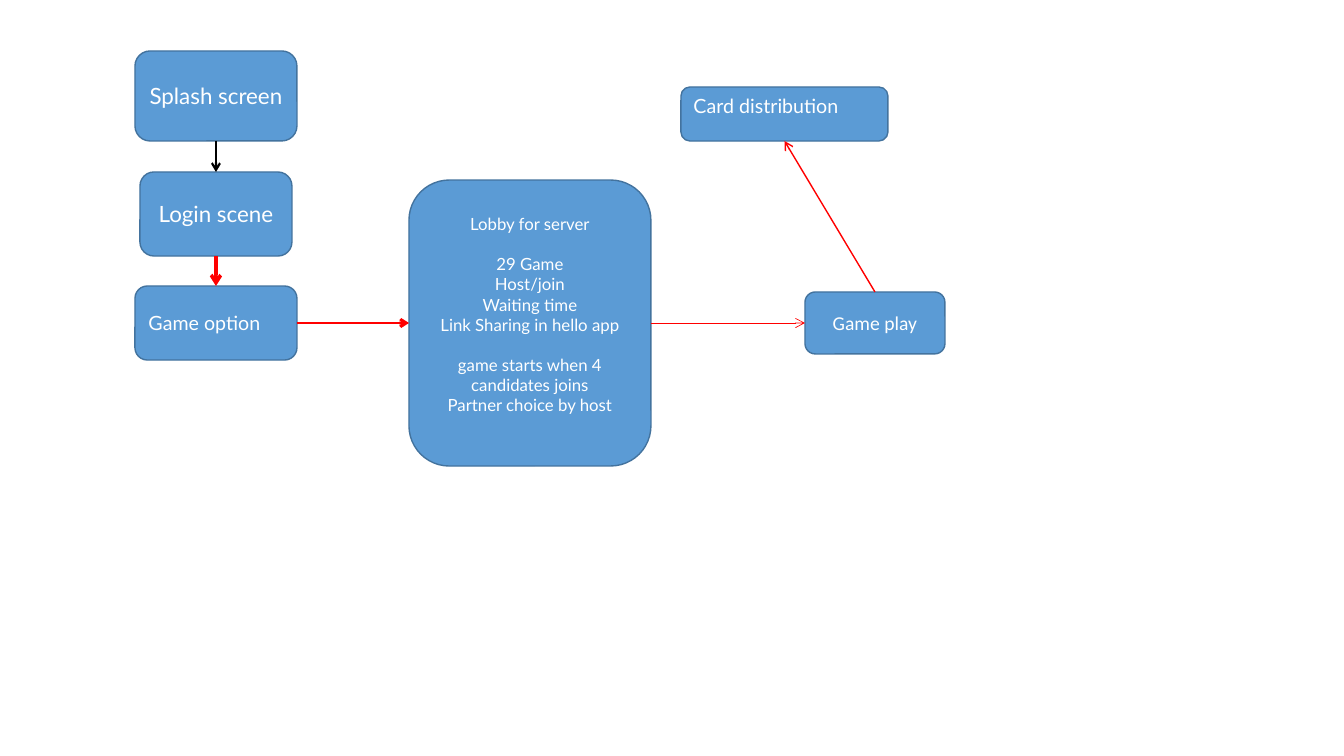
from dataclasses import dataclass

from pptx import Presentation, util as u
from pptx.dml.color import RGBColor
from pptx.enum import shapes, text
from pptx.oxml.ns import qn
from lxml import etree

SCALE = 914400 / 100.8  # EMU in one pixel
TOP, LEFT, BOTTOM, RIGHT = range(4)  # connection sites of a box


@dataclass(frozen=True)
class Theme:
    """Colours, fonts and type sizes of the flow chart."""
    fill: str = "5B9BD5"
    outline: str = "43739E"
    ink: str = "FFFFFF"
    red: str = "FF0000"
    black: str = "000000"
    font: str = "Lato"
    plain_font: str = "Calibri"
    large: int = 16
    medium: int = 14
    small: int = 12


def px(pixels):
    """Turn whole pixels into EMU."""
    return u.Emu(round(pixels * SCALE))


class FlowChart:
    """Draws boxes and arrows on one slide in one style."""

    def __init__(self, slide, theme):
        """Keep the slide and its theme."""
        self.slide = slide
        self.theme = theme

    def box(self, place, lines, size, font=None, align=text.PP_ALIGN.CENTER,
            gaps=(), bottom=5):
        """Add a rounded box; lines whose index is in gaps get space above."""
        box = self.slide.shapes.add_shape(
            shapes.MSO_SHAPE.ROUNDED_RECTANGLE, *map(px, place))
        box.shadow.inherit = False
        box.fill.solid()
        box.fill.fore_color.rgb = RGBColor.from_string(self.theme.fill)
        box.line.color.rgb = RGBColor.from_string(self.theme.outline)
        box.line.width = u.Pt(1)
        frame = box.text_frame
        frame.word_wrap = True
        frame.vertical_anchor = text.MSO_ANCHOR.MIDDLE
        frame.margin_top, frame.margin_bottom = px(5), px(bottom)
        for index, line in enumerate(lines):
            para = frame.add_paragraph() if index else frame.paragraphs[0]
            para.alignment = align
            if index in gaps:
                para.space_before = u.Pt(14.4)
            span = para.add_run()
            span.text = line
            span.font.name = font or self.theme.font
            span.font.size = u.Pt(size)
            span.font.color.rgb = RGBColor.from_string(self.theme.ink)
        return box

    def arrow(self, start, start_site, end, end_site, color, width):
        """Join two boxes with an open-headed arrow."""
        arrow = self.slide.shapes.add_connector(
            shapes.MSO_CONNECTOR.STRAIGHT, 0, 0, 0, 0)
        arrow.begin_connect(start, start_site)
        arrow.end_connect(end, end_site)
        arrow.line.color.rgb = RGBColor.from_string(color)
        arrow.line.width = u.Pt(width)
        etree.SubElement(arrow.line._get_or_add_ln(), qn("a:tailEnd"), type="arrow")
        etree.SubElement(arrow._element.spPr, qn("a:effectLst"))


def main():
    """Build and save the game flow slide."""
    deck = Presentation()
    deck.slide_width, deck.slide_height = px(1344), px(756)
    page = deck.slides.add_slide(deck.slide_layouts[6])
    theme = Theme()
    chart = FlowChart(page, theme)
    left = text.PP_ALIGN.LEFT

    lobby_lines = ["Lobby for server", "29 Game", "Host/join", "Waiting time",
                   "Link Sharing in hello app",
                   "game starts when 4 candidates joins",
                   "Partner choice by host"]
    lobby = chart.box((409, 180, 242, 286), lobby_lines, theme.small,
                      gaps=(1, 5), bottom=22)
    play = chart.box((805, 292, 140, 62), ["Game play"], theme.medium,
                     font=theme.plain_font)
    cards = chart.box((681, 87, 207, 54), ["Card distribution"], theme.medium,
                      align=left, bottom=22)
    login = chart.box((140, 172, 152, 84), ["Login scene"], theme.large)
    option = chart.box((135, 286, 162, 74), ["Game option"], theme.medium,
                       align=left)
    splash = chart.box((135, 51, 162, 90), ["Splash screen"], theme.large)

    chart.arrow(splash, BOTTOM, login, TOP, theme.black, 1.5)
    chart.arrow(login, BOTTOM, option, TOP, theme.red, 2.5)
    chart.arrow(option, RIGHT, lobby, LEFT, theme.red, 2)
    chart.arrow(lobby, RIGHT, play, LEFT, theme.red, 0.5)
    chart.arrow(play, TOP, cards, BOTTOM, theme.red, 1)

    deck.save("out.pptx")


main()
